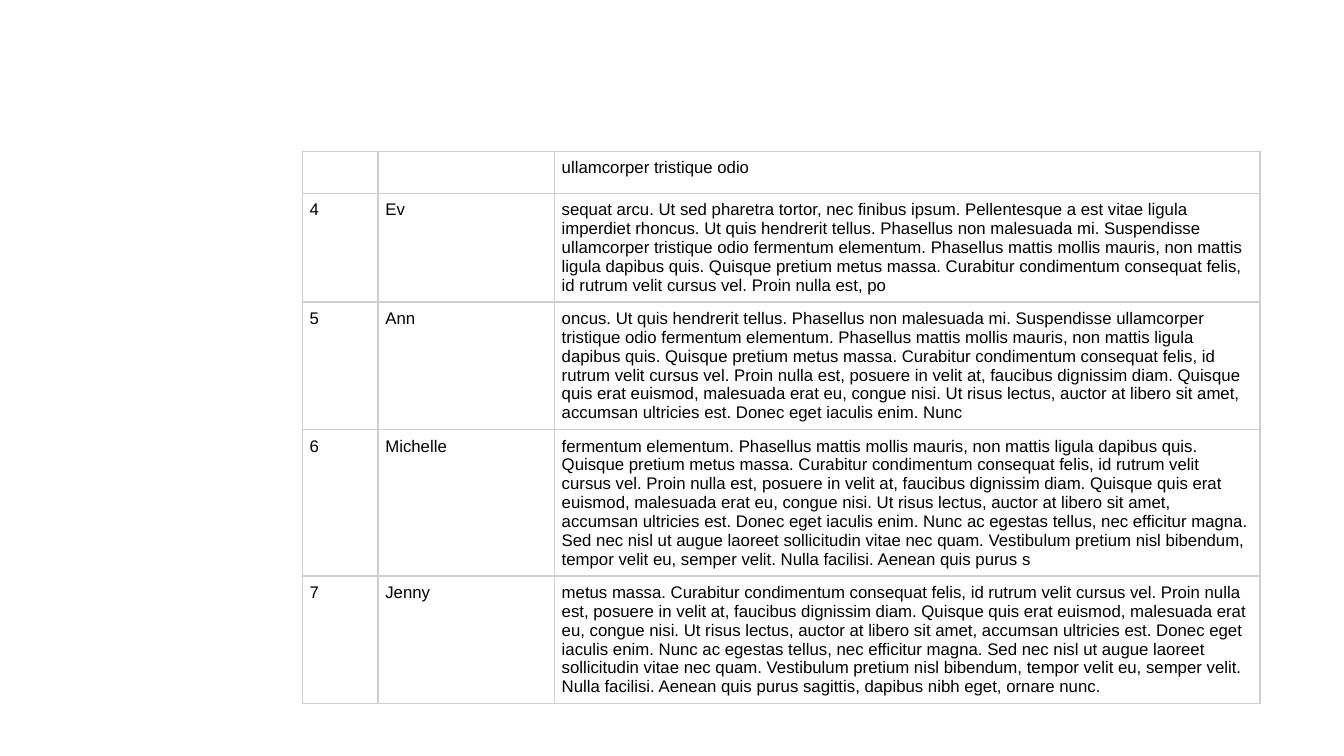
from lxml import etree
from pptx import Presentation
from pptx.dml.color import RGBColor
from pptx.oxml.ns import qn
from pptx.util import Pt

PX = 9525  # EMU per px, 96 px to the inch
LEFT, TOP = 288, 144
COLUMN_WIDTHS = [72, 168, 672]
ROW_HEIGHTS = [40, 103, 121, 139, 121]
MARGIN = 7
BORDER = "CFCFCF"

ROWS = [
    ("", "", "ullamcorper tristique odio"),
    ("4", "Ev",
     "sequat arcu. Ut sed pharetra tortor, nec finibus ipsum. Pellentesque a est vitae ligula "
     "imperdiet rhoncus. Ut quis hendrerit tellus. Phasellus non malesuada mi. Suspendisse "
     "ullamcorper tristique odio fermentum elementum. Phasellus mattis mollis mauris, non mattis "
     "ligula dapibus quis. Quisque pretium metus massa. Curabitur condimentum consequat felis, "
     "id rutrum velit cursus vel. Proin nulla est, po"),
    ("5", "Ann",
     "oncus. Ut quis hendrerit tellus. Phasellus non malesuada mi. Suspendisse ullamcorper "
     "tristique odio fermentum elementum. Phasellus mattis mollis mauris, non mattis ligula "
     "dapibus quis. Quisque pretium metus massa. Curabitur condimentum consequat felis, id "
     "rutrum velit cursus vel. Proin nulla est, posuere in velit at, faucibus dignissim diam. Quisque "
     "quis erat euismod, malesuada erat eu, congue nisi. Ut risus lectus, auctor at libero sit amet, "
     "accumsan ultricies est. Donec eget iaculis enim. Nunc"),
    ("6", "Michelle",
     "fermentum elementum. Phasellus mattis mollis mauris, non mattis ligula dapibus quis. "
     "Quisque pretium metus massa. Curabitur condimentum consequat felis, id rutrum velit "
     "cursus vel. Proin nulla est, posuere in velit at, faucibus dignissim diam. Quisque quis erat "
     "euismod, malesuada erat eu, congue nisi. Ut risus lectus, auctor at libero sit amet, accumsan "
     "ultricies est. Donec eget iaculis enim. Nunc ac egestas tellus, nec efficitur magna. Sed nec "
     "nisl ut augue laoreet sollicitudin vitae nec quam. Vestibulum pretium nisl bibendum, tempor "
     "velit eu, semper velit. Nulla facilisi. Aenean quis purus s"),
    ("7", "Jenny",
     "metus massa. Curabitur condimentum consequat felis, id rutrum velit cursus vel. Proin nulla "
     "est, posuere in velit at, faucibus dignissim diam. Quisque quis erat euismod, malesuada erat "
     "eu, congue nisi. Ut risus lectus, auctor at libero sit amet, accumsan ultricies est. Donec eget "
     "iaculis enim. Nunc ac egestas tellus, nec efficitur magna. Sed nec nisl ut augue laoreet "
     "sollicitudin vitae nec quam. Vestibulum pretium nisl bibendum, tempor velit eu, semper velit. "
     "Nulla facilisi. Aenean quis purus sagittis, dapibus nibh eget, ornare nunc."),
]


def write_text(cell, text, size=12, font="Arial", color="000000"):
    cell.margin_left = cell.margin_right = MARGIN * PX
    cell.margin_top = cell.margin_bottom = MARGIN * PX
    span = cell.text_frame.paragraphs[0].add_run()
    span.text = text
    span.font.size = Pt(size)
    span.font.name = font
    span.font.color.rgb = RGBColor.from_string(color)


def draw_borders(cell, color, width=1):
    properties = cell._tc.get_or_add_tcPr()
    for index, side in enumerate(("a:lnL", "a:lnR", "a:lnT", "a:lnB")):
        line = etree.Element(qn(side), w=str(Pt(width)))
        fill = etree.SubElement(line, qn("a:solidFill"))
        etree.SubElement(fill, qn("a:srgbClr"), val=color)
        properties.insert(index, line)


# Slide
deck = Presentation()
deck.slide_width, deck.slide_height = 1280 * PX, 720 * PX
slide = deck.slides.add_slide(deck.slide_layouts[6])

# Table frame
frame = slide.shapes.add_table(
    len(ROWS), len(COLUMN_WIDTHS), LEFT * PX, TOP * PX,
    sum(COLUMN_WIDTHS) * PX, sum(ROW_HEIGHTS) * PX)
table = frame.table
table.first_row = table.horz_banding = False
for column, width in zip(table.columns, COLUMN_WIDTHS):
    column.width = width * PX
for row, height in zip(table.rows, ROW_HEIGHTS):
    row.height = height * PX

# Cells
for row, texts in zip(table.rows, ROWS):
    for cell, text in zip(row.cells, texts):
        cell.fill.background()
        draw_borders(cell, BORDER)
        if text:
            write_text(cell, text)

deck.save("out.pptx")
